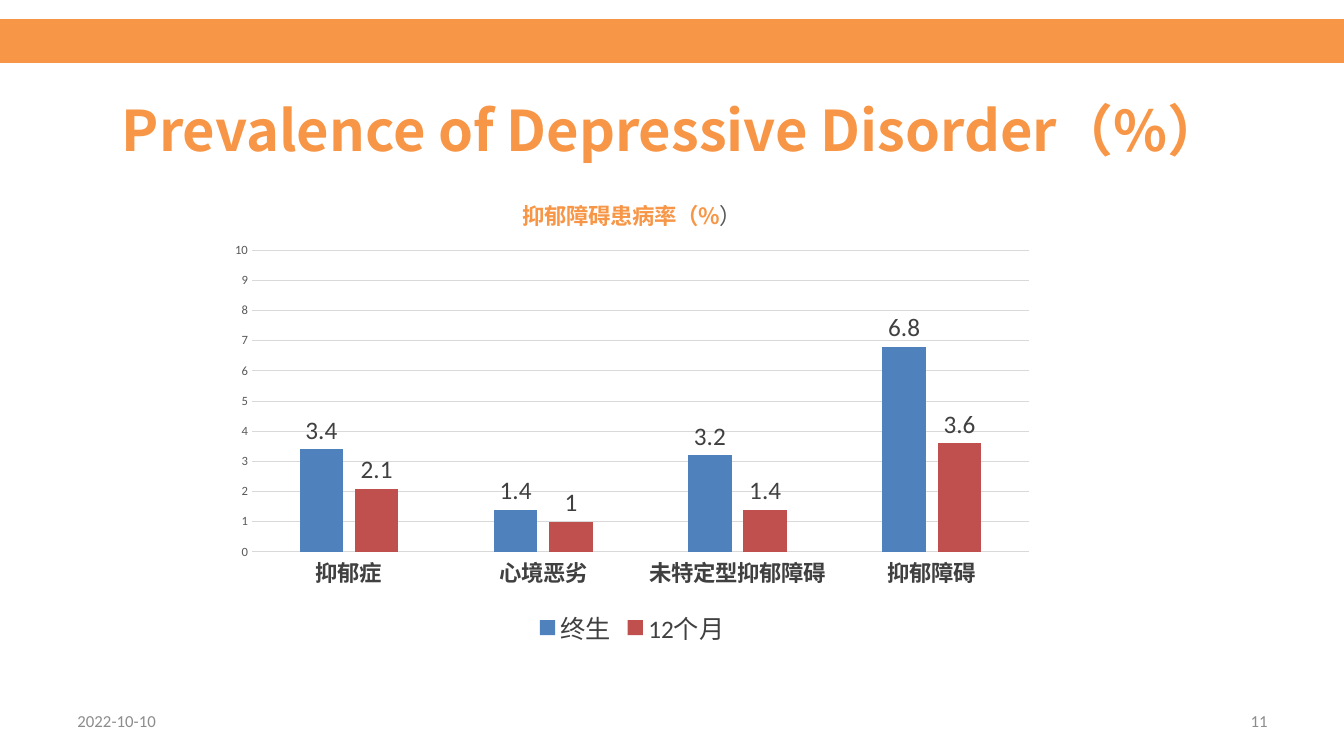
"""Build the slide on the prevalence of depressive disorder."""
from dataclasses import dataclass

import pptx
import pptx.chart.data
import pptx.dml.color
import pptx.enum.chart
import pptx.enum.shapes
import pptx.enum.text
import pptx.oxml
import pptx.oxml.ns
import pptx.util
from pptx.util import Inches


@dataclass(frozen=True)
class Theme:
    """Colours, fonts and type sizes of the slide."""
    accent: str = "F79646"
    muted: str = "8C8C8C"
    dark: str = "404040"
    grey: str = "595959"
    rule: str = "D9D9D9"
    series: tuple = ("4F81BD", "C0504D")
    body_font: str = "Calibri"
    heading_font: str = "Noto Sans CJK SC"
    title_size: int = 40
    label_size: int = 18
    heading_size: int = 16
    footer_size: int = 12
    axis_size: int = 9


class SlideBuilder:
    """Holds the theme and the current slide."""

    def __init__(self, deck, theme):
        """Add a title-only page to the deck."""
        self.theme = theme
        self.page = deck.slides.add_slide(deck.slide_layouts[5])

    def colour(self, value):
        """Return the colour for a hex value."""
        return pptx.dml.color.RGBColor.from_string(value)

    def style(self, font, size, colour, bold=False, name=None):
        """Format a font."""
        font.size = pptx.util.Pt(size)
        font.color.rgb = self.colour(colour)
        font.bold = bold
        font.name = name or self.theme.body_font

    def heading(self, span, size, colour, bold=True):
        """Format a run in the heading font for Latin and East Asian text."""
        name = self.theme.heading_font
        self.style(span.font, size, colour, bold, name)
        properties = span.font._element
        east_asian = pptx.oxml.parse_xml(
            f'<a:ea {pptx.oxml.ns.nsdecls("a")} typeface="{name}"/>')
        properties.find(pptx.oxml.ns.qn("a:latin")).addnext(east_asian)

    def band(self, left, top, width, height):
        """Draw the accent band."""
        band = self.page.shapes.add_shape(
            pptx.enum.shapes.MSO_SHAPE.RECTANGLE, left, top, width, height)
        band.shadow.inherit = False
        band.fill.solid()
        band.fill.fore_color.rgb = self.colour(self.theme.accent)
        band.line.color.rgb = self.colour(self.theme.accent)
        band.line.width = pptx.util.Pt(3)

    def title(self, text, left, top, width, height):
        """Fill and place the title placeholder."""
        box = self.page.shapes.title
        box.left, box.top, box.width, box.height = left, top, width, height
        frame = box.text_frame
        frame.text = text
        frame.word_wrap = True
        frame.auto_size = pptx.enum.text.MSO_AUTO_SIZE.NONE
        frame.vertical_anchor = pptx.enum.text.MSO_ANCHOR.MIDDLE
        para = frame.paragraphs[0]
        para.alignment = pptx.enum.text.PP_ALIGN.CENTER
        self.heading(para.runs[0], self.theme.title_size, self.theme.accent)

    def footer(self, text, left, alignment):
        """Add one footer text at the bottom of the page."""
        box = self.page.shapes.add_textbox(
            left, Inches(6.95), Inches(3.11), Inches(0.4))
        frame = box.text_frame
        frame.text = text
        frame.word_wrap = True
        frame.vertical_anchor = pptx.enum.text.MSO_ANCHOR.MIDDLE
        para = frame.paragraphs[0]
        para.alignment = alignment
        self.style(para.runs[0].font, self.theme.footer_size, self.theme.muted)

    def column_chart(self, heading, categories, series, left, top, width, height):
        """Add the clustered column chart."""
        theme = self.theme
        data = pptx.chart.data.CategoryChartData()
        data.categories = categories
        for name, values in series.items():
            data.add_series(name, values)
        chart = self.page.shapes.add_chart(
            pptx.enum.chart.XL_CHART_TYPE.COLUMN_CLUSTERED,
            left, top, width, height, data).chart
        self.style(chart.font, 10, "000000")
        self.chart_title(chart, heading)
        self.chart_axes(chart)
        chart.has_legend = True
        chart.legend.position = pptx.enum.chart.XL_LEGEND_POSITION.BOTTOM
        chart.legend.include_in_layout = False
        self.style(chart.legend.font, theme.label_size, theme.dark)
        plot = chart.plots[0]
        plot.gap_width, plot.overlap = 219, -27
        plot.vary_by_categories = False
        for columns, colour in zip(plot.series, theme.series):
            columns.invert_if_negative = False
            columns.format.fill.solid()
            columns.format.fill.fore_color.rgb = self.colour(colour)
            labels = columns.data_labels
            labels.show_value = True
            labels.position = pptx.enum.chart.XL_LABEL_POSITION.OUTSIDE_END
            self.style(labels.font, theme.label_size, theme.dark)
        self.plot_area(chart, x=0.04, y=0.15, w=0.94, h=0.64)

    def chart_title(self, chart, heading):
        """Write the chart title with its closing bracket in grey."""
        theme = self.theme
        chart.has_title = True
        chart.chart_title.include_in_layout = False
        para = chart.chart_title.text_frame.paragraphs[0]
        for text, colour, bold in ((heading[:-1], theme.accent, True),
                                   (heading[-1], theme.grey, False)):
            span = para.add_run()
            span.text = text
            self.heading(span, theme.heading_size, colour, bold)

    def chart_axes(self, chart):
        """Format both axes and the gridlines."""
        theme = self.theme
        values, categories = chart.value_axis, chart.category_axis
        for axis in (values, categories):
            axis.major_tick_mark = pptx.enum.chart.XL_TICK_MARK.NONE
            axis.minor_tick_mark = pptx.enum.chart.XL_TICK_MARK.NONE
        values.minimum_scale, values.maximum_scale, values.major_unit = 0, 10, 1
        values.format.line.fill.background()
        for line in (values.major_gridlines.format.line, categories.format.line):
            line.color.rgb = self.colour(theme.rule)
            line.width = pptx.util.Pt(0.75)
        self.style(values.tick_labels.font, theme.axis_size, theme.grey)
        self.style(categories.tick_labels.font, theme.heading_size, theme.dark, True)

    def plot_area(self, chart, **fractions):
        """Fix the inner plot area as fractions of the chart."""
        area = chart._chartSpace.chart.plotArea
        for layout in area.findall(pptx.oxml.ns.qn("c:layout")):
            area.remove(layout)
        sizes = "".join(f'<c:{key} val="{value}"/>' for key, value in fractions.items())
        area.insert(0, pptx.oxml.parse_xml(
            f'<c:layout {pptx.oxml.ns.nsdecls("c")}><c:manualLayout>'
            '<c:layoutTarget val="inner"/><c:xMode val="edge"/><c:yMode val="edge"/>'
            f'{sizes}</c:manualLayout></c:layout>'))


def main():
    """Build and save the deck."""
    deck = pptx.Presentation()
    deck.slide_width, deck.slide_height = Inches(13.33), Inches(7.5)
    slide = SlideBuilder(deck, Theme())
    slide.band(0, Inches(0.21), deck.slide_width, Inches(0.39))
    slide.title("Prevalence of Depressive Disorder（%）",
                Inches(0.67), Inches(0.89), Inches(12), Inches(0.79))
    slide.footer("2022-10-10", Inches(0.67), pptx.enum.text.PP_ALIGN.LEFT)
    slide.footer("11", Inches(9.56), pptx.enum.text.PP_ALIGN.RIGHT)
    slide.column_chart(
        "抑郁障碍患病率（%）",
        ("抑郁症", "心境恶劣", "未特定型抑郁障碍", "抑郁障碍"),
        {"终生": (3.4, 1.4, 3.2, 6.8), "12个月": (2.1, 1, 1.4, 3.6)},
        Inches(2.17), Inches(1.78), Inches(8.2), Inches(4.68))
    deck.save("out.pptx")


if __name__ == "__main__":
    main()
